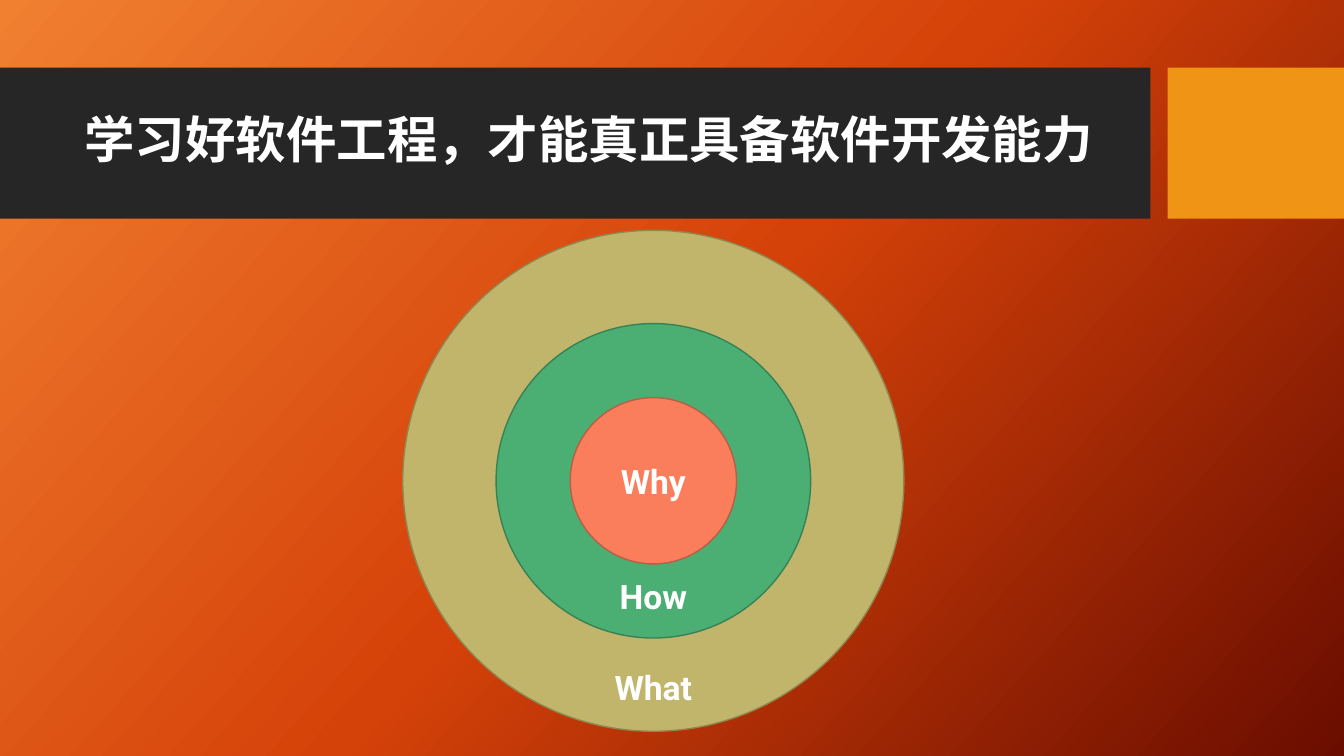
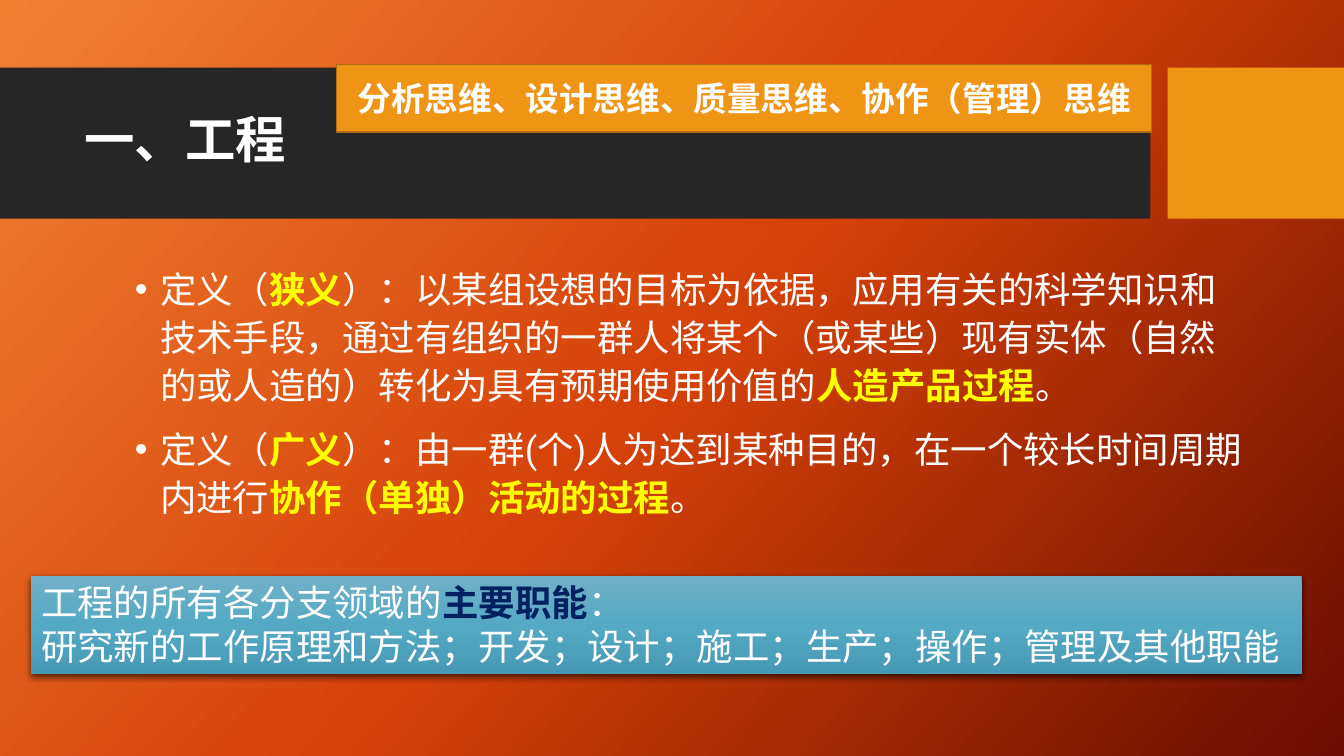
from lxml.etree import SubElement
from pptx import Presentation
from pptx.dml.color import RGBColor
from pptx.enum.lang import MSO_LANGUAGE_ID as Language
from pptx.enum.shapes import MSO_SHAPE as Shape
from pptx.enum.text import MSO_ANCHOR as Anchor, MSO_AUTO_SIZE as AutoSize, PP_ALIGN as Align
from pptx.oxml.ns import qn
from pptx.util import Inches, Pt

FONT = "Roboto"
COLORS = {
    "white": "FFFFFF",
    "band": "262626",
    "accent": "F09415",
    "accent_line": "B26D10",
    "highlight": "FFFF00",
    "navy": "002060",
    "shadow": "000000",
    "what": "C1B56B",
    "what_line": "8F864F",
    "how": "4BAF73",
    "how_line": "378155",
    "why": "FA7E5C",
    "why_line": "B95D44",
}
BACKGROUND_STOPS = ["F18031", "D54209", "6A0D00"]
SUMMARY_STOPS = ["71B0C8", "55A9C5", "4798B4"]


def color(name):
    return RGBColor.from_string(COLORS[name])


def set_gradient(fill, owner, stops, angle):
    fill.gradient()
    fill.gradient_angle = 360 - angle
    stop_list = owner.find(".//" + qn("a:gsLst"))
    for stop in list(stop_list):
        stop_list.remove(stop)
    for index, value in enumerate(stops):
        position = 100000 * index // (len(stops) - 1)
        stop = SubElement(stop_list, qn("a:gs"), pos=str(position))
        SubElement(stop, qn("a:srgbClr"), val=value)


def add_soft_shadow(shape):
    effects = shape._element.spPr.find(qn("a:effectLst"))
    shadow = SubElement(effects, qn("a:outerShdw"), blurRad=str(Pt(4.5)), dist=str(Pt(1.5)),
                        dir="5400000", algn="ctr", rotWithShape="0")
    shade = SubElement(shadow, qn("a:srgbClr"), val=COLORS["shadow"])
    SubElement(shade, qn("a:alpha"), val="63000")


def add_bullet(paragraph):
    properties = paragraph._p.get_or_add_pPr()
    properties.set("marL", str(Inches(0.75)))
    properties.set("indent", str(Inches(-0.25)))
    SubElement(properties, qn("a:buFont"), typeface="Arial")
    SubElement(properties, qn("a:buChar"), char="•")


def write_text(shape, paragraphs, size, bold=False, align=Align.LEFT, anchor=Anchor.TOP,
               wrap=True, grow=False, bullets=False, line_spacing=None, before=0, after=0):
    frame = shape.text_frame
    frame.word_wrap = wrap
    frame.auto_size = AutoSize.SHAPE_TO_FIT_TEXT if grow else AutoSize.NONE
    frame.vertical_anchor = anchor
    for index, runs in enumerate(paragraphs):
        paragraph = frame.add_paragraph() if index else frame.paragraphs[0]
        if bullets:
            add_bullet(paragraph)
        paragraph.alignment = align
        paragraph.line_spacing = line_spacing
        paragraph.space_before = Pt(before if index else 0)
        paragraph.space_after = Pt(after)
        for text, emphasis in runs:
            run = paragraph.add_run()
            run.text = text
            run.font.name = FONT
            run.font.size = Pt(size)
            run.font.bold = bold or emphasis is not None
            run.font.color.rgb = color(emphasis or "white")
            run.font.language_id = Language.SIMPLIFIED_CHINESE


def add_text(slide, left, top, width, height, paragraphs, **text_format):
    box = slide.shapes.add_textbox(Inches(left), Inches(top), Inches(width), Inches(height))
    write_text(box, paragraphs, **text_format)


def add_block(slide, kind, left, top, width, height, fill=None, line=None):
    shape = slide.shapes.add_shape(kind, Inches(left), Inches(top), Inches(width), Inches(height))
    shape.shadow.inherit = False
    if fill:
        shape.fill.solid()
        shape.fill.fore_color.rgb = color(fill)
    if line:
        shape.line.color.rgb = color(line)
        shape.line.width = Pt(1)
    else:
        shape.line.fill.background()
    return shape


def add_titled_slide(presentation, title):
    slide = presentation.slides.add_slide(presentation.slide_layouts[6])
    add_block(slide, Shape.RECTANGLE, 0, 0.67, 11.41, 1.5, "band")
    add_block(slide, Shape.RECTANGLE, 11.58, 0.67, 1.75, 1.5, "accent")
    add_text(slide, 0.74, 0.82, 10.51, 1.18, [[(title, None)]], size=36, bold=True,
             anchor=Anchor.MIDDLE, line_spacing=0.9)
    return slide


def add_golden_circle(slide, rings, center_x=6.48, center_y=4.77):
    for name, diameter, _ in rings:
        add_block(slide, Shape.OVAL, center_x - diameter / 2, center_y - diameter / 2,
                  diameter, diameter, name, name + "_line")
    for name, _, label_top in rings:
        add_text(slide, center_x - 0.5, label_top, 1, 0.5, [[(name.capitalize(), None)]],
                 size=24, bold=True, align=Align.CENTER, wrap=False, grow=True)


def add_summary(slide, paragraphs):
    box = add_block(slide, Shape.RECTANGLE, 0.31, 5.71, 12.6, 0.98)
    set_gradient(box.fill, box._element, SUMMARY_STOPS, 90)
    add_soft_shadow(box)
    write_text(box, paragraphs, size=26, wrap=False, grow=True)


def add_tag(slide, text):
    tag = add_block(slide, Shape.RECTANGLE, 3.34, 0.64, 8.08, 0.67, "accent", "accent_line")
    write_text(tag, [[(text, None)]], size=24, bold=True, align=Align.CENTER, anchor=Anchor.MIDDLE)


def main():
    presentation = Presentation()
    presentation.slide_width = Inches(13.33)
    presentation.slide_height = Inches(7.5)
    master = presentation.slide_master
    set_gradient(master.background.fill, master.element, BACKGROUND_STOPS, 42)

    slide = add_titled_slide(presentation, "学习好软件工程，才能真正具备软件开发能力")
    add_golden_circle(slide, [("what", 4.97, 6.57), ("how", 3.12, 5.66), ("why", 1.65, 4.52)])

    slide = add_titled_slide(presentation, "一、工程")
    definitions = [
        [("定义（", None), ("狭义", "highlight"),
         ("）：以某组设想的目标为依据，应用有关的科学知识和技术手段，通过有组织的一群人将某个"
          "（或某些）现有实体（自然的或人造的）转化为具有预期使用价值的", None),
         ("人造产品过程", "highlight"), ("。", None)],
        [("定义（", None), ("广义", "highlight"),
         ("）：由一群(个)人为达到某种目的，在一个较长时间周期内进行", None),
         ("协作（单独）活动的过程", "highlight"), ("。", None)],
    ]
    add_text(slide, 0.74, 2.56, 11.74, 3.94, definitions, size=26, bullets=True,
             line_spacing=1.1, before=5, after=6)
    add_summary(slide, [
        [("工程的所有各分支领域的", None), ("主要职能", "navy"), ("：", None)],
        [("研究新的工作原理和方法；开发；设计；施工；生产；操作；管理及其他职能", None)],
    ])
    add_tag(slide, "分析思维、设计思维、质量思维、协作（管理）思维")

    presentation.save("out.pptx")


if __name__ == "__main__":
    main()
